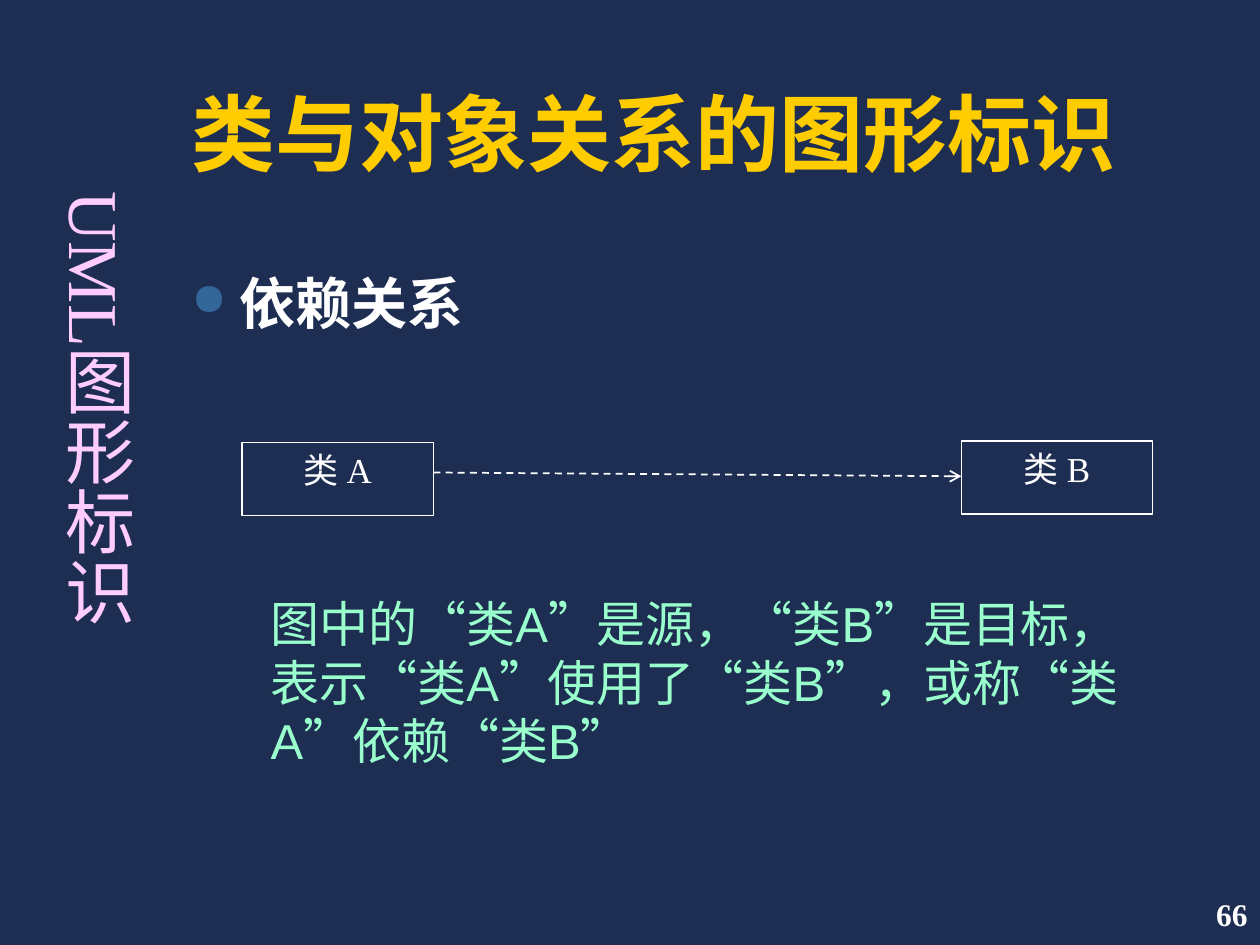
from dataclasses import dataclass

from lxml import etree
from pptx import Presentation
from pptx.dml.color import RGBColor
from pptx.enum.dml import MSO_LINE
from pptx.enum.shapes import MSO_CONNECTOR, MSO_SHAPE
from pptx.enum.text import MSO_ANCHOR, MSO_AUTO_SIZE, PP_ALIGN
from pptx.oxml.ns import qn
from pptx.util import Inches, Pt


@dataclass(frozen=True)
class Theme:
    background: RGBColor = RGBColor.from_string("1E2E53")
    white: RGBColor = RGBColor.from_string("FFFFFF")
    title: RGBColor = RGBColor.from_string("FFCC00")
    note: RGBColor = RGBColor.from_string("99FFCC")
    side: RGBColor = RGBColor.from_string("FFCCFF")
    bullet: str = "336699"
    sans: str = "Arial"
    serif: str = "Times New Roman"
    title_size: int = 48
    side_size: int = 40
    topic_size: int = 32
    note_size: int = 28
    class_size: int = 20
    number_size: int = 18


@dataclass(frozen=True)
class ClassBox:
    label: str
    left: float
    top: float
    width: float = 1.52
    height: float = 0.58


THEME = Theme()
CLASS_A = ClassBox("类 A", 1.92, 3.51)
CLASS_B = ClassBox("类 B", 7.63, 3.5)


def write(shape, text: str, size: int, color: RGBColor, font: str = THEME.sans,
          bold: bool = False, align=PP_ALIGN.LEFT, anchor=MSO_ANCHOR.TOP):
    """Fill a shape with one formatted paragraph and return the paragraph."""
    frame = shape.text_frame
    frame_format = {"word_wrap": True, "auto_size": MSO_AUTO_SIZE.NONE,
                    "vertical_anchor": anchor}
    for name, value in frame_format.items():
        setattr(frame, name, value)
    paragraph = frame.paragraphs[0]
    paragraph.alignment = align
    run = paragraph.add_run()
    run.text = text
    for name, value in {"name": font, "size": Pt(size), "bold": bold}.items():
        setattr(run.font, name, value)
    run.font.color.rgb = color
    return paragraph


def add_text(slide, left: float, top: float, width: float, height: float):
    return slide.shapes.add_textbox(*map(Inches, (left, top, width, height)))


def add_bullet(paragraph) -> None:
    properties = paragraph._p.get_or_add_pPr()
    properties.set("marL", str(Inches(0.38)))
    properties.set("indent", str(Inches(-0.38)))
    color = etree.SubElement(properties, qn("a:buClr"))
    etree.SubElement(color, qn("a:srgbClr"), val=THEME.bullet)
    etree.SubElement(properties, qn("a:buSzPct"), val="80000")
    etree.SubElement(properties, qn("a:buChar"), char="●")


def add_class(slide, box: ClassBox) -> None:
    rectangle = slide.shapes.add_shape(
        MSO_SHAPE.RECTANGLE,
        *map(Inches, (box.left, box.top, box.width, box.height)))
    rectangle.shadow.inherit = False
    rectangle.fill.background()
    rectangle.line.color.rgb = THEME.white
    rectangle.line.width = Pt(0.75)
    write(rectangle, box.label, THEME.class_size, THEME.white, THEME.serif,
          align=PP_ALIGN.CENTER)


def add_dependency(slide, source: ClassBox, target: ClassBox) -> None:
    """Draw the dashed UML arrow, slightly above the boxes' middles."""
    arrow = slide.shapes.add_connector(
        MSO_CONNECTOR.STRAIGHT,
        *map(Inches, (source.left + source.width, 3.75, target.left, 3.78)))
    arrow.line.color.rgb = THEME.white
    arrow.line.width = Pt(1)
    arrow.line.dash_style = MSO_LINE.DASH
    etree.SubElement(arrow.line._get_or_add_ln(), qn("a:tailEnd"), type="arrow")
    etree.SubElement(arrow._element.spPr, qn("a:effectLst"))


def main() -> None:
    deck = Presentation()
    deck.slide_width, deck.slide_height = Inches(10), Inches(7.5)
    slide = deck.slides.add_slide(deck.slide_layouts[5])
    slide.background.fill.solid()
    slide.background.fill.fore_color.rgb = THEME.background

    # Title
    title = slide.shapes.title
    place = {"left": 1.42, "top": 0.25, "width": 7.83, "height": 1.25}
    for name, value in place.items():
        setattr(title, name, Inches(value))
    write(title, "类与对象关系的图形标识", THEME.title_size, THEME.title,
          bold=True, anchor=MSO_ANCHOR.BOTTOM)

    # Topic and explanation
    topic = write(add_text(slide, 1.42, 2.08, 7.92, 0.7), "依赖关系",
                  THEME.topic_size, THEME.white, bold=True)
    add_bullet(topic)
    write(add_text(slide, 2.05, 4.66, 7.29, 1.6),
          "图中的“类A”是源，“类B”是目标，表示“类A”使用了“类B”，或称“类A”依赖“类B”",
          THEME.note_size, THEME.note)

    # Dependency diagram
    for box in (CLASS_A, CLASS_B):
        add_class(slide, box)
    add_dependency(slide, CLASS_A, CLASS_B)

    # Vertical side heading
    side = add_text(slide, 0.3, 1.42, 0.86, 5.17)
    write(side, "UML图形标识", THEME.side_size, THEME.side, THEME.serif,
          align=PP_ALIGN.CENTER)
    insets = {"margin_left": 0.05, "margin_right": 0.05,
              "margin_top": 0.1, "margin_bottom": 0.1}
    for name, value in insets.items():
        setattr(side.text_frame, name, Inches(value))
    side.text_frame._txBody.bodyPr.set("vert", "eaVert")

    # Slide number
    write(add_text(slide, 7.92, 7, 2.08, 0.5), "66", THEME.number_size,
          THEME.white, THEME.serif, True, PP_ALIGN.RIGHT, MSO_ANCHOR.MIDDLE)

    deck.save("out.pptx")


if __name__ == "__main__":
    main()
